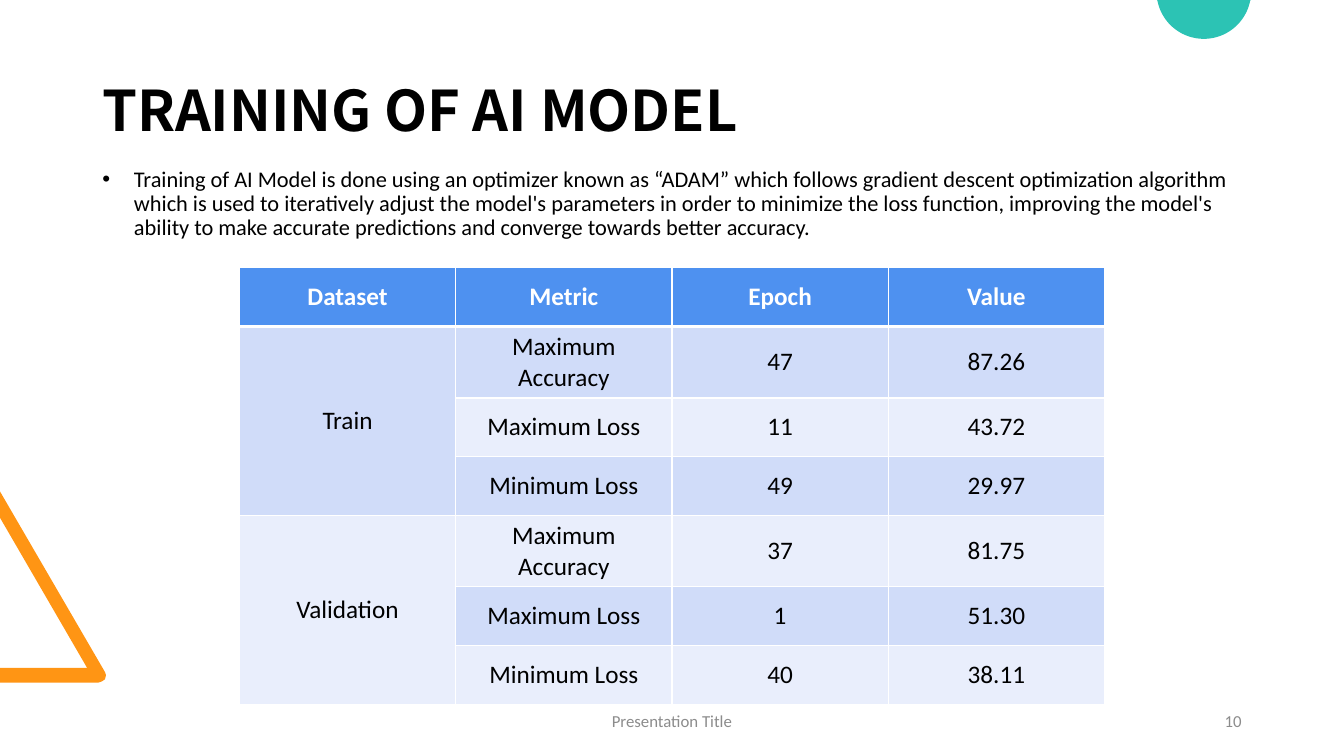
from math import cos, radians, sin

from lxml.etree import SubElement
from pptx import Presentation
from pptx.dml.color import RGBColor
from pptx.enum.text import MSO_ANCHOR, MSO_AUTO_SIZE, PP_ALIGN
from pptx.oxml.ns import qn
from pptx.util import Pt

PX = 9525


def write(frame, text, size, color, align=PP_ALIGN.LEFT, bold=False, font="Calibri", anchor=MSO_ANCHOR.MIDDLE):
    frame.word_wrap = True
    frame.vertical_anchor = anchor
    paragraph = frame.paragraphs[0]
    paragraph.alignment = align
    paragraph.space_before = Pt(0)
    run = paragraph.add_run()
    run.text = text
    run.font.name = font
    run.font.size = Pt(size)
    run.font.bold = bold
    run.font.color.rgb = RGBColor.from_string(color)
    return paragraph


def place(shape, left, top, width, height):
    shape.left, shape.top, shape.width, shape.height = [
        length * PX for length in (left, top, width, height)
    ]


presentation = Presentation()
presentation.slide_width = 1280 * PX
presentation.slide_height = 720 * PX
slide = presentation.slides.add_slide(presentation.slide_layouts[1])

triangle = [(0, 650), (0, 636), (83, 636), (0, 493), (0, 468), (100, 640),
            (101, 643), (100, 647), (97, 649), (94, 650)]
circle = [(1191, 0)]
for angle in range(12, 171, 3):
    circle.append((1146.5 + 45 * cos(radians(angle)), -8 + 45 * sin(radians(angle))))
circle.append((1102, 0))

for points, color in ((triangle, "FF9514"), (circle, "2CC3B4")):
    corners = [(round(x * PX), round(y * PX)) for x, y in points]
    builder = slide.shapes.build_freeform(*corners[0])
    builder.add_line_segments(corners[1:], close=True)
    shape = builder.convert_to_shape()
    shape.shadow.inherit = False
    shape.fill.solid()
    shape.fill.fore_color.rgb = RGBColor.from_string(color)
    shape.line.fill.background()

title = slide.shapes.title
place(title, 88, 38, 1104, 139)
title.text_frame.auto_size = MSO_AUTO_SIZE.NONE
heading = write(title.text_frame, "TRAINING OF AI MODEL", 40, "000000",
                bold=True, font="Noto Sans CJK TC")
heading.line_spacing = 0.9

body = slide.placeholders[1]
place(body, 88, 148, 1129, 86)
body.text_frame.auto_size = MSO_AUTO_SIZE.NONE
description = write(
    body.text_frame,
    "Training of AI Model is done using an optimizer known as “ADAM” which follows "
    "gradient descent optimization algorithm which is used to iteratively adjust the "
    "model's parameters in order to minimize the loss function, improving the model's "
    "ability to make accurate predictions and converge towards better accuracy.",
    16, "000000", anchor=MSO_ANCHOR.BOTTOM)
description.line_spacing = 0.9
properties = description._p.get_or_add_pPr()
properties.set("marL", str(30 * PX))
properties.set("indent", str(-30 * PX))
SubElement(properties, qn("a:buFont")).set("typeface", "Arial")
SubElement(properties, qn("a:buChar")).set("char", "•")

for left, width, text, align in (
    (424, 432, "Presentation Title", PP_ALIGN.CENTER),
    (904, 288, "10", PP_ALIGN.RIGHT),
):
    footer = slide.shapes.add_textbox(left * PX, 667 * PX, width * PX, 38 * PX)
    write(footer.text_frame, text, 12, "8C8C8C", align)

rows = [
    ("Dataset", "Metric", "Epoch", "Value"),
    ("Train", "Maximum Accuracy", "47", "87.26"),
    ("", "Maximum Loss", "11", "43.72"),
    ("", "Minimum Loss", "49", "29.97"),
    ("Validation", "Maximum Accuracy", "37", "81.75"),
    ("", "Maximum Loss", "1", "51.30"),
    ("", "Minimum Loss", "40", "38.11"),
]
table = slide.shapes.add_table(7, 4, 228 * PX, 255 * PX, 824 * PX, 416 * PX).table
for column in table.columns:
    column.width = 206 * PX

for row_index, values in enumerate(rows):
    table.rows[row_index].height = (68 if values[1] == "Maximum Accuracy" else 56) * PX
    header = row_index == 0
    band = "4E91F0" if header else ("E9EEFC", "D0DCF9")[row_index % 2]
    for column_index, value in enumerate(values):
        cell = table.cell(row_index, column_index)
        cell_properties = cell._tc.get_or_add_tcPr()
        for side in ("lnL", "lnR", "lnT", "lnB"):
            thick = (row_index, side) in ((0, "lnB"), (1, "lnT"))
            border = SubElement(cell_properties, qn("a:" + side))
            border.set("w", str(Pt(3 if thick else 1)))
            line_fill = SubElement(border, qn("a:solidFill"))
            SubElement(line_fill, qn("a:srgbClr")).set("val", "FFFFFF")
        cell.fill.solid()
        cell.fill.fore_color.rgb = RGBColor.from_string(band)
        cell.vertical_anchor = MSO_ANCHOR.MIDDLE
        if value:
            write(cell.text_frame, value, 18, "FFFFFF" if header else "000000",
                  PP_ALIGN.CENTER, bold=header)

for first_row in (1, 4):
    table.cell(first_row, 0).merge(table.cell(first_row + 2, 0))

presentation.save("out.pptx")
